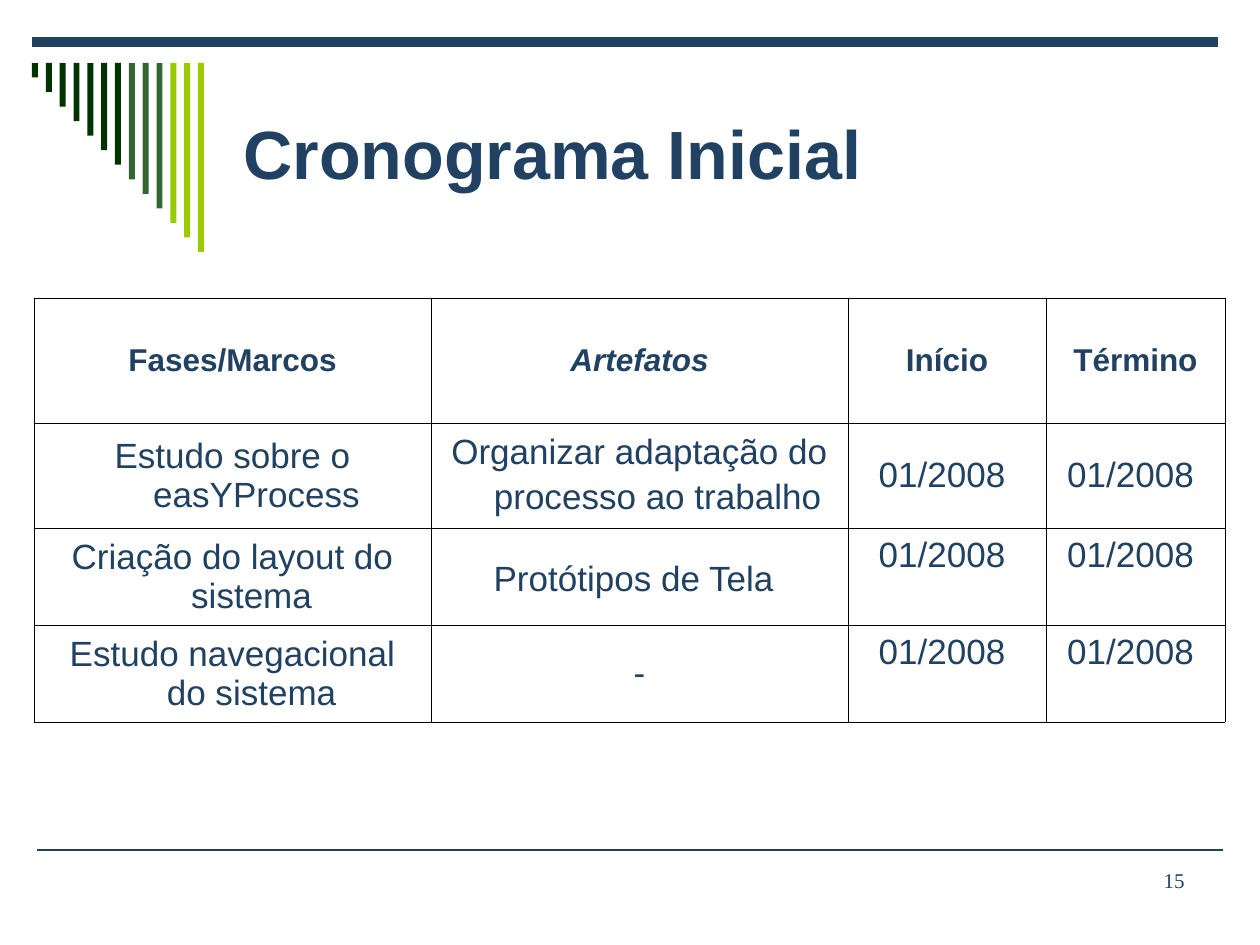
"""Build the initial schedule slide."""
from pptx import Presentation
from pptx.dml.color import RGBColor
from pptx.enum.shapes import MSO_CONNECTOR, MSO_SHAPE
from pptx.enum.text import MSO_ANCHOR, PP_ALIGN
from pptx.oxml.xmlchemy import OxmlElement
from pptx.util import Pt

NAVY = RGBColor(0x20, 0x41, 0x62)
DARK = RGBColor(0x00, 0x33, 0x00)
GREEN = RGBColor(0x33, 0x66, 0x33)
LIME = RGBColor(0x99, 0xCC, 0x00)
WHITE = RGBColor(0xFF, 0xFF, 0xFF)
BLACK = RGBColor(0x00, 0x00, 0x00)

TITLE = "Cronograma Inicial"
NUMBER = "15"
HEAD = ["Fases/Marcos", "Artefatos", "Início", "Término"]
DATE = "01/2008 "
BODY = [
    ["Estudo sobre o easYProcess", "Organizar adaptação do processo ao trabalho ", DATE, DATE],
    ["Criação do layout do sistema ", "Protótipos de Tela ", DATE, DATE],
    ["Estudo navegacional do sistema ", "-", DATE, DATE],
]
COLS = [397, 417, 198, 179]
ROWS = [125, 105, 97, 97]
BARS = [DARK] * 7 + [GREEN] * 3 + [LIME] * 3
RULES = [(37, 850, 1), (32, 42, 6)]


def px(n):
    return round(n * 914400 / 126)


def style(run, size, face="Arial", bold=False, slant=False):
    font = run.font
    font.name, font.size = face, Pt(size)
    font.bold, font.italic = bold, slant
    font.color.rgb = NAVY


def add_rule(slide, left, y, width):
    line = slide.shapes.add_connector(
        MSO_CONNECTOR.STRAIGHT, px(left), px(y), px(left + 1186), px(y))
    line.line.color.rgb = NAVY
    line.line.width = Pt(width)
    line._element.spPr.append(OxmlElement("a:effectLst"))


def add_bars(slide):
    for i, color in enumerate(BARS):
        bar = slide.shapes.add_shape(
            MSO_SHAPE.RECTANGLE, px(32 + 166 * i / 12), px(63), px(6), px(189 * (i + 1) / 13))
        bar.shadow.inherit = False
        bar.fill.solid()
        bar.fill.fore_color.rgb = color
        bar.line.fill.background()


def add_text(slide, box, text, anchor, align, **look):
    frame = slide.shapes.add_textbox(*map(px, box)).text_frame
    frame.word_wrap = True
    frame.vertical_anchor = anchor
    frame.text = text
    para = frame.paragraphs[0]
    para.alignment = align
    style(para.runs[0], **look)


def add_edges(cell):
    props = cell._tc.get_or_add_tcPr()
    for side in ("a:lnL", "a:lnR", "a:lnT", "a:lnB"):
        edge = OxmlElement(side)
        edge.set("w", str(Pt(0.45)))
        fill, color = OxmlElement("a:solidFill"), OxmlElement("a:srgbClr")
        color.set("val", str(BLACK))
        fill.append(color)
        edge.append(fill)
        props.append(edge)


def fill_cell(cell, text, row, col):
    add_edges(cell)
    cell.fill.solid()
    cell.fill.fore_color.rgb = WHITE
    cell.vertical_anchor = MSO_ANCHOR.MIDDLE
    if row > 1 and col > 1:
        cell.vertical_anchor = MSO_ANCHOR.TOP
        cell.margin_top = px(8)
    para = cell.text_frame.paragraphs[0]
    para.alignment = PP_ALIGN.CENTER
    props = para._p.get_or_add_pPr()
    props.set("marL", str(px(48)))
    props.set("indent", str(px(-48)))
    wide = col == 1 and text.endswith(" ")
    para.text = text.rstrip() if wide else text
    head = row == 0
    style(para.runs[0], 18 if head else 20, bold=head, slant=head and col == 1)
    if wide:
        tail = para.add_run()
        tail.text = " "
        style(tail, 24)


def add_grid(slide):
    grid = slide.shapes.add_table(
        len(ROWS), len(COLS), px(34), px(298), px(sum(COLS)), px(sum(ROWS))).table
    grid.first_row = grid.horz_banding = False
    for col, width in zip(grid.columns, COLS):
        col.width = px(width)
    for row, height in zip(grid.rows, ROWS):
        row.height = px(height)
    for r, texts in enumerate([HEAD] + BODY):
        for c, text in enumerate(texts):
            fill_cell(grid.cell(r, c), text, r, c)


def main():
    deck = Presentation()
    deck.slide_width, deck.slide_height = px(1260), px(945)
    slide = deck.slides.add_slide(deck.slide_layouts[6])
    for rule in RULES:
        add_rule(slide, *rule)
    add_bars(slide)
    add_text(slide, (231, 63, 966, 179), TITLE, MSO_ANCHOR.MIDDLE, PP_ALIGN.LEFT,
             size=39, bold=True)
    add_grid(slide)
    add_text(slide, (903, 861, 294, 63), NUMBER, MSO_ANCHOR.TOP, PP_ALIGN.RIGHT,
             size=12, face="Times New Roman")
    deck.save("out.pptx")


if __name__ == "__main__":
    main()
